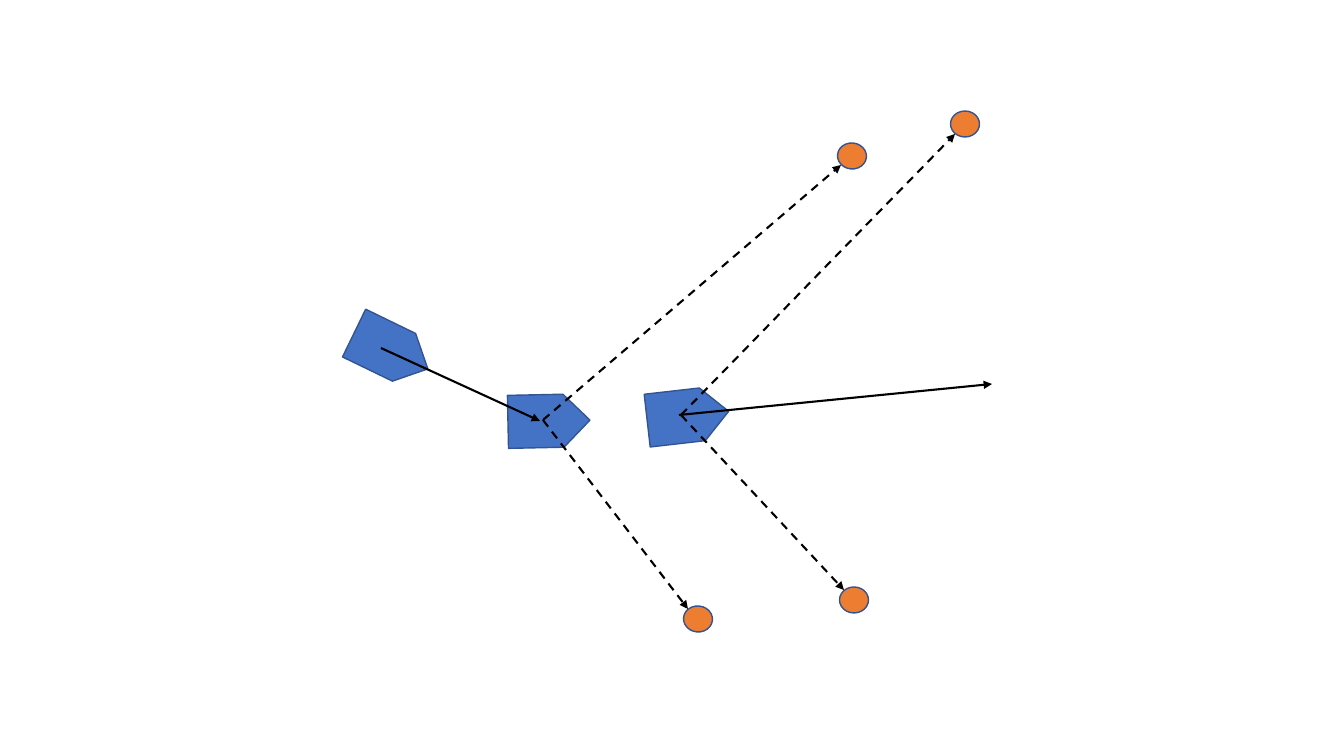
from lxml.etree import SubElement
from pptx import Presentation
from pptx.dml.color import RGBColor
from pptx.enum.dml import MSO_LINE
from pptx.enum.shapes import MSO_CONNECTOR, MSO_SHAPE
from pptx.oxml.ns import qn
from pptx.util import Pt

PX = 914400 / 100.8
SLIDE_SIZE = (1344, 756)
ROBOT_SIZE = (82, 53)
LANDMARK_SIZE = (29, 26)
COLORS = {"robot": "4472C4", "landmark": "ED7D31", "outline": "325491", "arrow": "000000"}

# Robot poses from back to front; points are centres or line ends in px.
POSES = [
    {
        "robot": (688, 416), "turn": 353.5, "grouped": False,
        "motion": [((679, 415), (992, 384))],
        "landmarks": [(965, 124), (854, 600)], "landmark_turn": 0,
        "sightings": [((681, 415), (844, 590)), ((681, 415), (955, 134))],
    },
    {
        "robot": (549, 421), "turn": 358.8, "grouped": True,
        "motion": [],
        "landmarks": [(852, 156), (698, 619)], "landmark_turn": 5.3,
        "sightings": [((543, 420), (688, 609)), ((543, 420), (841, 165))],
    },
    {
        "robot": (391, 351), "turn": 25.9, "grouped": False,
        "motion": [((381, 348), (540, 421))],
        "landmarks": [], "landmark_turn": 0,
        "sightings": [],
    },
]


def emu(*lengths):
    return [round(length * PX) for length in lengths]


def add_centred(shapes, preset, centre, size, turn, fill):
    (x, y), (width, height) = centre, size
    shape = shapes.add_shape(preset, *emu(x - width / 2, y - height / 2, width, height))
    shape.rotation = turn
    shape.shadow.inherit = False
    shape.fill.solid()
    shape.fill.fore_color.rgb = RGBColor.from_string(COLORS[fill])
    shape.line.color.rgb = RGBColor.from_string(COLORS["outline"])
    shape.line.width = Pt(1)


def add_arrow(shapes, start, end, dashed=False):
    arrow = shapes.add_connector(MSO_CONNECTOR.STRAIGHT, *emu(*start, *end))
    arrow.line.color.rgb = RGBColor.from_string(COLORS["arrow"])
    arrow.line.width = Pt(1.5)
    if dashed:
        arrow.line.dash_style = MSO_LINE.DASH
    properties = arrow._element.spPr
    SubElement(properties.find(qn("a:ln")), qn("a:tailEnd"), type="triangle")
    SubElement(properties, qn("a:effectLst"))


def main():
    presentation = Presentation()
    presentation.slide_width, presentation.slide_height = emu(*SLIDE_SIZE)
    slide = presentation.slides.add_slide(presentation.slide_layouts[6])
    for pose in POSES:
        shapes = slide.shapes
        if pose["grouped"]:
            shapes = slide.shapes.add_group_shape().shapes
        add_centred(shapes, MSO_SHAPE.PENTAGON, pose["robot"], ROBOT_SIZE, pose["turn"], "robot")
        for start, end in pose["motion"]:
            add_arrow(shapes, start, end)
        for centre in pose["landmarks"]:
            add_centred(shapes, MSO_SHAPE.OVAL, centre, LANDMARK_SIZE,
                        pose["landmark_turn"], "landmark")
        for start, end in pose["sightings"]:
            add_arrow(shapes, start, end, dashed=True)
    presentation.save("out.pptx")


if __name__ == "__main__":
    main()
